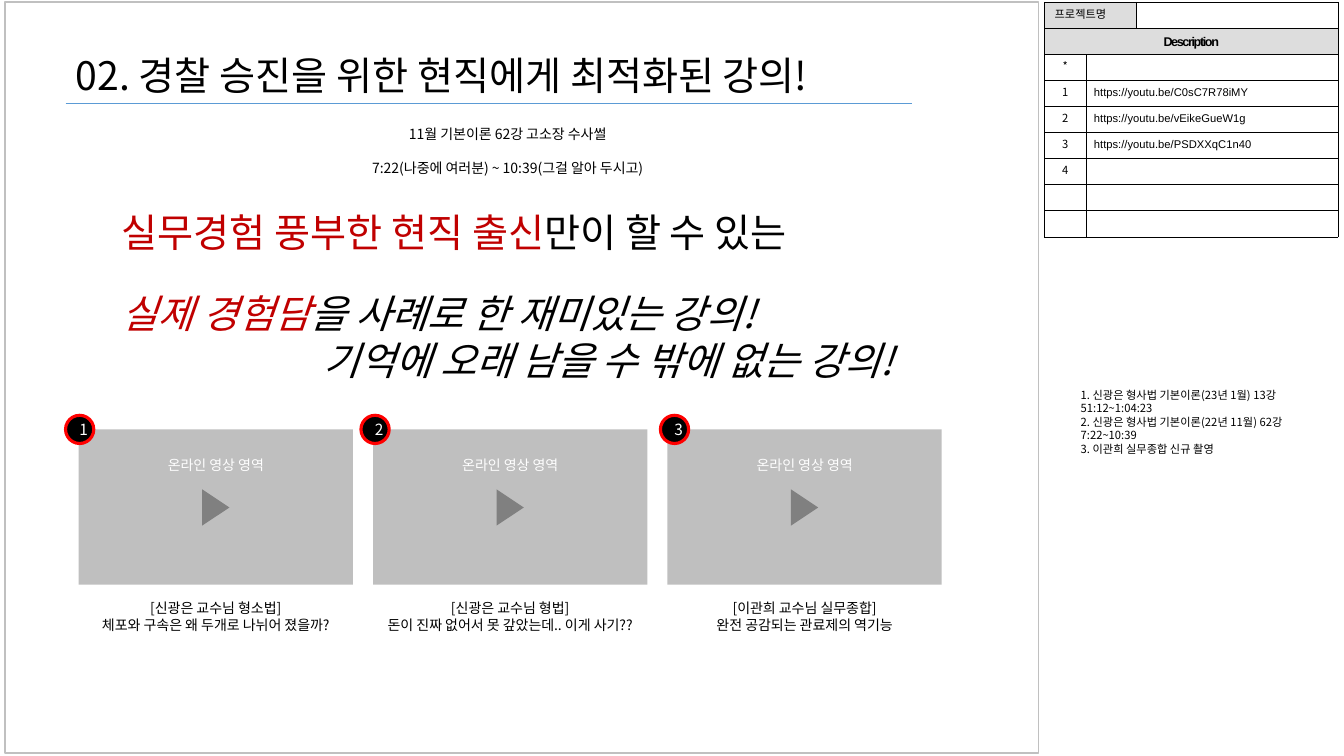
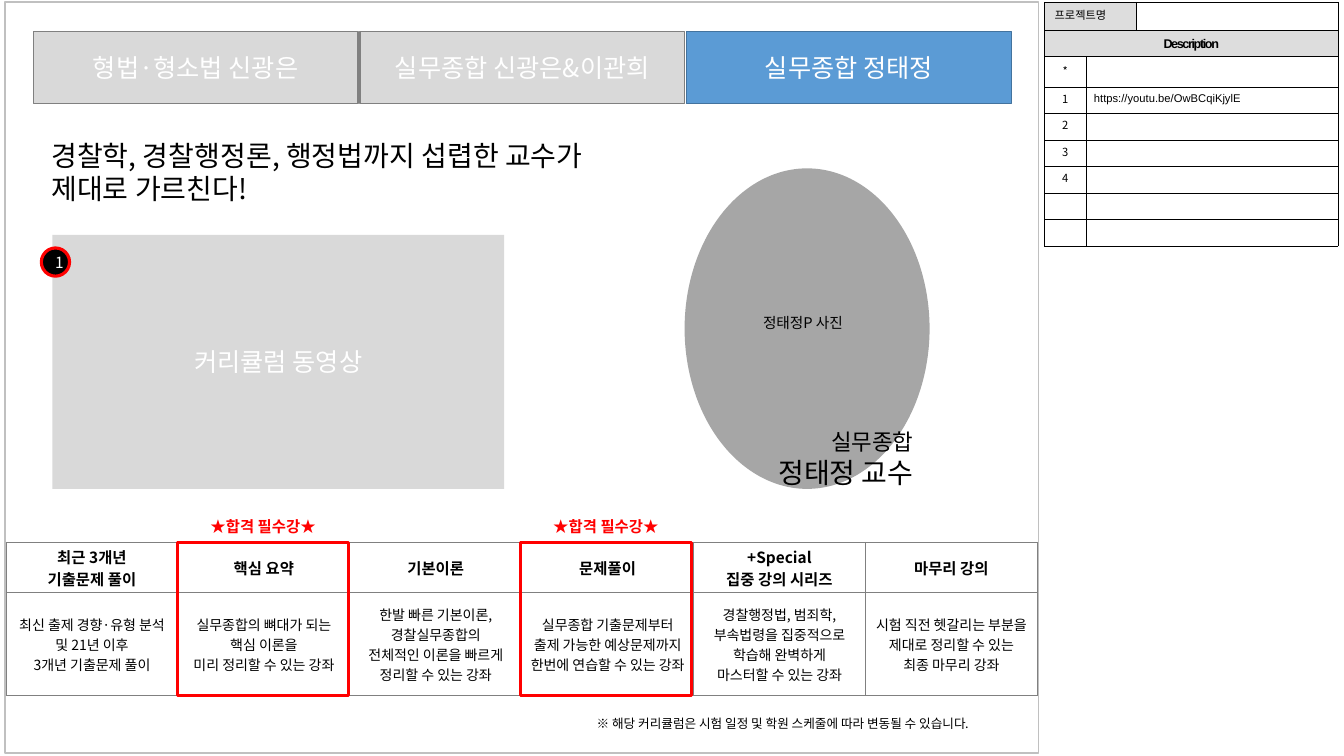
from lxml import etree
from pptx import Presentation
from pptx import util as u
from pptx.dml.color import RGBColor
from pptx.enum import shapes, text
from pptx.oxml.ns import qn

W, H = 13.33, 7.5
SANS, ARIAL = "Noto Sans CJK KR", "Arial"
HEX = dict(ink="000000", paper="FFFFFF", frame="C0C0C0", head="DDDDDD", blue="5B9BD5",
           navy="43739E", red="FF0000", wine="C00000", card="BFBFBF", mute="D9D9D9",
           gray="808080", photo="A6A6A6")
LEFT, MID, RIGHT = text.PP_ALIGN.LEFT, text.PP_ALIGN.CENTER, text.PP_ALIGN.RIGHT
TOP, CORE = text.MSO_ANCHOR.TOP, text.MSO_ANCHOR.MIDDLE
KIND = shapes.MSO_SHAPE

# Slide 1
TITLE = "02. 경찰 승진을 위한 현직에게 최적화된 강의!"
CLIP = ["11월 기본이론 62강 고소장 수사썰", "7:22(나중에 여러분) ~ 10:39(그걸 알아 두시고)"]
# indent, space before, italic, coloured runs
PITCH = [
    (0.33, 0, False, [("실무경험 풍부한 현직 출신", "wine"), ("만이 할 수 있는", "ink")]),
    (0.33, 24, True, [("실제 경험담", "wine"), ("을 사례로 한 재미있는 강의!", "ink")]),
    (2.33, 0, True, [("기억에 오래 남을 수 밖에 없는 강의!", "ink")]),
]
AREA = "온라인 영상 영역"
CARDS = [  # badge left, caption
    (0.65, ["[신광은 교수님 형소법]", "체포와 구속은 왜 두개로 나뉘어 졌을까?"]),
    (3.58, ["[신광은 교수님 형법]", "돈이 진짜 없어서 못 갚았는데.. 이게 사기??"]),
    (6.55, ["[이관희 교수님 실무종합]", "완전 공감되는 관료제의 역기능"]),
]
NOTES = ["1. 신광은 형사법 기본이론(23년 1월) 13강 51:12~1:04:23",
         "2. 신광은 형사법 기본이론(22년 11월) 62강", "7:22~10:39", "3. 이관희 실무종합 신규 촬영"]
LINKS = ["https://youtu.be/C0sC7R78iMY", "https://youtu.be/vEikeGueW1g",
         "https://youtu.be/PSDXXqC1n40"]

# Slide 2
TABS = [("형법·형소법 신광은", "mute", "gray"), ("실무종합 신광은&이관희", "mute", "gray"),
        ("실무종합 정태정", "blue", "navy")]
LEAD = ["경찰학, 경찰행정론, 행정법까지 섭렵한 교수가", "제대로 가르친다!"]
COURSES = [
    (["최근 3개년", "기출문제 풀이"],
     ["최신 출제 경향·유형 분석", "및 21년 이후", "3개년 기출문제 풀이"]),
    (["핵심 요약"], ["실무종합의 뼈대가 되는", "핵심 이론을", "미리 정리할 수 있는 강좌"]),
    (["기본이론"],
     ["한발 빠른 기본이론,", "경찰실무종합의", "전체적인 이론을 빠르게", "정리할 수 있는 강좌"]),
    (["문제풀이"], ["실무종합 기출문제부터", "출제 가능한 예상문제까지", "한번에 연습할 수 있는 강좌"]),
    (["+Special", "집중 강의 시리즈"],
     ["경찰행정법, 범죄학,", "부속법령을 집중적으로", "학습해 완벽하게", "마스터할 수 있는 강좌"]),
    (["마무리 강의"], ["시험 직전 헷갈리는 부분을", "제대로 정리할 수 있는", "최종 마무리 강좌"]),
]
MUST = (1, 3)
FOOT = "※ 해당 커리큘럼은 시험 일정 및 학원 스케줄에 따라 변동될 수 있습니다."


def rgb(key):
    return RGBColor.from_string(HEX[key])


def place(shp, box):
    shp.left, shp.top, shp.width, shp.height = map(u.Inches, box)


def style(p, size, ink="ink", face=SANS, bold=False, align=LEFT, lead=1.2):
    p.alignment = align
    p.line_spacing = u.Pt(round(size * lead, 1))
    f = p.font
    f.size, f.bold, f.name = u.Pt(size), bold, face
    f.color.rgb = rgb(ink)
    ea = etree.SubElement(p._p.pPr.find(qn("a:defRPr")), qn("a:ea"))
    ea.set("typeface", face)


def write(frame, lines, size, **look):
    frame.text = "\n".join(lines)
    for p in frame.paragraphs:
        style(p, size, **look)


def inset(frame, sides=(0.1, 0.05, 0.1, 0.05), anchor=TOP, wrap=True):
    (frame.margin_left, frame.margin_top,
     frame.margin_right, frame.margin_bottom) = map(u.Inches, sides)
    frame.vertical_anchor, frame.word_wrap = anchor, wrap


def label(sld, box, lines, size, wrap=True, shp=None, **look):
    """Fill a new text box, or the given placeholder."""
    shp = shp or sld.shapes.add_textbox(0, 0, 0, 0)
    place(shp, box)
    frame = shp.text_frame
    frame.auto_size = text.MSO_AUTO_SIZE.NONE
    inset(frame, wrap=wrap)
    write(frame, lines, size, **look)
    return frame


def block(sld, kind, box, fill=None, line=None, thick=1):
    shp = sld.shapes.add_shape(kind, *map(u.Inches, box))
    shp.shadow.inherit = False
    if fill:
        shp.fill.solid()
        shp.fill.fore_color.rgb = rgb(fill)
    else:
        shp.fill.background()
    if line:
        shp.line.color.rgb = rgb(line)
        shp.line.width = u.Pt(thick)
    else:
        shp.line.fill.background()
    return shp


def sign(shp, line, size, sides=(0.1, 0.05, 0.1, 0.05), anchor=CORE):
    inset(shp.text_frame, sides, anchor)
    write(shp.text_frame, [line], size, ink="paper", align=MID)


def badge(sld, x, y, num):
    dot = block(sld, KIND.OVAL, (x, y, 0.28, 0.28), "ink", "red", 2.25)
    sign(dot, str(num), 11, (0.08, 0, 0, 0))
    dot.text_frame.word_wrap = False


def grid(sld, x, y, cols, rows, line, thick):
    """Add a plain table whose cells all have the same border."""
    box = map(u.Inches, (x, y, sum(cols), sum(rows)))
    tbl = sld.shapes.add_table(len(rows), len(cols), *box).table
    tbl.first_row = tbl.horz_banding = False
    for c, w in zip(tbl.columns, cols):
        c.width = u.Inches(w)
    for r, h in zip(tbl.rows, rows):
        r.height = u.Inches(h)
    for cell in tbl.iter_cells():
        props = cell._tc.get_or_add_tcPr()
        for side in ("lnL", "lnR", "lnT", "lnB"):
            ln = etree.SubElement(props, qn("a:" + side), w=str(u.Pt(thick)))
            paint = etree.SubElement(ln, qn("a:solidFill"))
            etree.SubElement(paint, qn("a:srgbClr"), val=HEX[line])
        cell.fill.background()
    return tbl


def put(cell, lines, size, sides, anchor=CORE, fill=None, **look):
    (cell.margin_left, cell.margin_top,
     cell.margin_right, cell.margin_bottom) = map(u.Inches, sides)
    cell.vertical_anchor = anchor
    if fill:
        cell.fill.solid()
        cell.fill.fore_color.rgb = rgb(fill)
    write(cell.text_frame, lines, size, **look)
    if not any(lines):
        end = etree.SubElement(cell.text_frame.paragraphs[0]._p, qn("a:endParaRPr"))
        end.set("sz", str(size * 100))


def panel(sld, links, rows):
    tbl = grid(sld, 10.36, 0.02, (0.41, 0.5, 2), rows, "ink", 0.25)
    tbl.cell(0, 0).merge(tbl.cell(0, 1))
    tbl.cell(1, 0).merge(tbl.cell(1, 2))
    wide = (0.1, 0.05, 0.1, 0.05)
    put(tbl.cell(0, 0), ["프로젝트명"], 8, wide, fill="head")
    put(tbl.cell(0, 2), [""], 8, wide, fill="paper")
    head = tbl.cell(1, 0)
    put(head, ["Description"], 9, wide, fill="head", face=ARIAL, bold=True, align=MID)
    head.text_frame.paragraphs[0]._p.pPr.find(qn("a:defRPr")).set("spc", "-100")
    marks = ["*", "1", "2", "3", "4", "", ""]
    for i, mark in enumerate(marks):
        row = i + 2
        link = links[i - 1] if 0 < i <= len(links) else ""
        tbl.cell(row, 1).merge(tbl.cell(row, 2))
        put(tbl.cell(row, 0), [mark], 8, (0.04, 0.05, 0.04, 0.05), fill="paper", align=MID)
        put(tbl.cell(row, 1), [link], 8, (0.08, 0.05, 0.08, 0.05), TOP, "paper", face=ARIAL)


def start(deck, box, lines, size, links, rows):
    """Add a slide with the shared frame, title and description panel."""
    sld = deck.slides.add_slide(deck.slide_layouts[5])
    block(sld, KIND.RECTANGLE, (0.05, 0.02, 10.25, 7.45), line="frame")
    label(sld, box, lines, size, shp=sld.shapes.title)
    panel(sld, links, rows)
    return sld


def lecture(deck):
    sld = start(deck, (0.65, 0.46, 8.37, 0.57), [TITLE], 28, LINKS, [2.32 / 9] * 9)
    rule = sld.shapes.add_connector(shapes.MSO_CONNECTOR.STRAIGHT,
                                    *map(u.Inches, (0.65, 1.03, 9.05, 1.03)))
    rule.line.color.rgb = rgb("blue")
    rule.line.width = u.Pt(0.75)
    etree.SubElement(rule._element.spPr, qn("a:effectLst"))

    clip = label(sld, (3.45, 1.2, 3.17, 0.61), CLIP, 10, align=MID)
    clip.paragraphs[1].space_before = u.Pt(12)

    pitch = label(sld, (0.78, 2.02, 9.18, 1.85), [""] * len(PITCH), 28)
    for p, (dent, gap, slant, runs) in zip(pitch.paragraphs, PITCH):
        p._p.pPr.set("marL", str(u.Inches(dent)))
        p.space_before = u.Pt(gap)
        p.font.italic = slant
        for words, ink in runs:
            run = p.add_run()
            run.text = words
            run.font.color.rgb = rgb(ink)

    wide, high, top = 2.72, 1.54, 4.26
    for i, (dot, lines) in enumerate(CARDS):
        x = 0.78 + i * (wide + 0.2)
        card = block(sld, KIND.RECTANGLE, (x, top, wide, high), "card")
        sign(card, AREA, 10, (0.1, 0.27, 0.1, 0.05), TOP)
        play = block(sld, KIND.ISOSCELES_TRIANGLE, (x + 1.18, 4.9, 0.36, 0.27), "gray")
        play.rotation = 90
        label(sld, (x - 0.12, 5.9, wide + 0.24, 0.44), lines, 10, align=MID)
        badge(sld, dot, top - 0.14, i + 1)
    label(sld, (10.62, 3.8, 2.71, 0.77), NOTES, 8)


def course(deck):
    sld = start(deck, (0.41, 1.32, 8.01, 0.77), LEAD, 20,
                ["https://youtu.be/OwBCqiKjylE"], [0.28, 0.26, 0.3] + [1.58 / 6] * 6)
    for i, (name, fill, line) in enumerate(TABS):
        tab = block(sld, KIND.RECTANGLE, (0.33 + i * 3.24, 0.31, 3.22, 0.72), fill, line)
        sign(tab, name, 18)

    block(sld, KIND.OVAL, (6.79, 1.67, 2.43, 3.18), "photo")
    label(sld, (7.47, 3.06, 1.07, 0.28), ["정태정P 사진"], 10.5, wrap=False)
    name = label(sld, (7.46, 4.2, 1.7, 0.71), ["실무종합", "정태정 교수"], 16, align=RIGHT)
    name.paragraphs[1].font.size = u.Pt(20)
    name.paragraphs[1].line_spacing = u.Pt(24)

    video = block(sld, KIND.RECTANGLE, (0.52, 2.33, 4.48, 2.52), "mute")
    sign(video, "커리큘럼 동영상", 18)
    badge(sld, 0.41, 2.46, 1)

    left, top, rows = 0.06, 5.38, (0.5, 1.02)
    wide = 10.23 / len(COURSES)
    tbl = grid(sld, left, top, [wide] * len(COURSES), rows, "gray", 0.5)
    for i, (head, body) in enumerate(COURSES):
        put(tbl.cell(0, i), head, 11, [0] * 4, bold=True, align=MID, lead=1.45)
        put(tbl.cell(1, i), body, 10, [0] * 4, align=MID, lead=1.43)
    for i in MUST:
        x = 0.06 + i * 1.7
        block(sld, KIND.RECTANGLE, (x, top, 1.7, sum(rows)), line="red", thick=2.25)
        label(sld, (x + 0.11, 5.08, 1.48, 0.29), ["★합격 필수강★"], 11,
              ink="red", bold=True, align=MID)
    label(sld, (5.82, 7.05, 4.33, 0.25), [FOOT], 9)


def main():
    deck = Presentation()
    deck.slide_width, deck.slide_height = u.Inches(W), u.Inches(H)
    lecture(deck)
    course(deck)
    deck.save("out.pptx")


if __name__ == "__main__":
    main()
